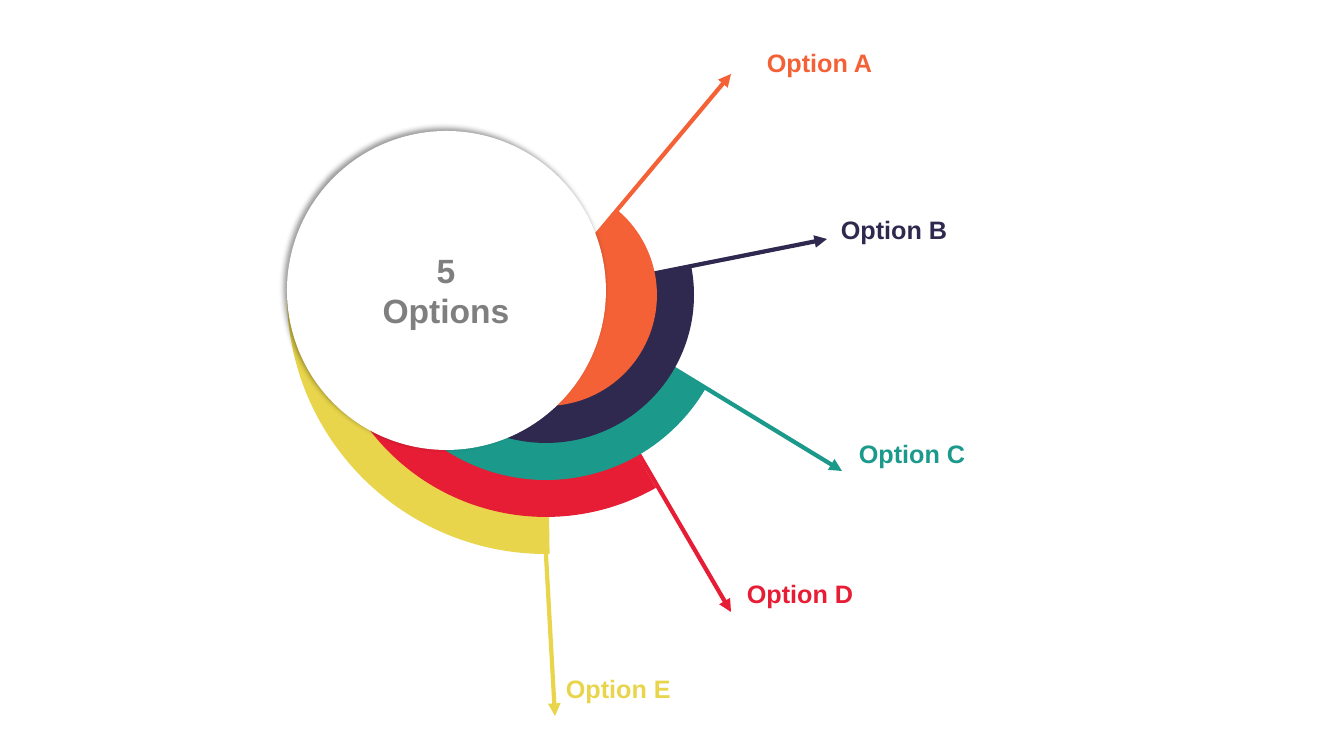
"""Builds a slide with five nested arcs, each pointing at its option."""
import dataclasses
import typing

import lxml.etree
import pptx
import pptx.dml.color
import pptx.enum.shapes
import pptx.enum.text
import pptx.oxml.ns
import pptx.util

SLIDE_WIDTH, SLIDE_HEIGHT = 1344, 756
EMU_PER_PX = 12192000 / SLIDE_WIDTH
CENTRE = (546, 295)
INNER_RADIUS, RING_STEP = 111, 37
ARC_END = 180.7
ADJUSTMENT_PER_DEGREE = 0.6
LABEL_SIZE = (244, 40)


@dataclasses.dataclass(frozen=True)
class Theme:
    font: str = "Arial"
    label_size: int = 18
    title_size: int = 24
    line_width: int = 3
    disc: str = "FFFFFF"
    title: str = "7F7F7F"
    shadow: str = "000000"


@dataclasses.dataclass(frozen=True)
class Option:
    name: str
    colour: str
    arc_start: float
    tip: tuple[int, int]
    label: tuple[int, int]
    origin: tuple[int, int] = CENTRE
    arrowheads: tuple[str, ...] = ("tailEnd",)


THEME = Theme()
OPTIONS = [
    Option("Option A", "F46136", 309.1, (731, 74), (757, 42)),
    Option("Option B", "2F294F", 348.2, (827, 239), (831, 209),
           arrowheads=("headEnd", "tailEnd")),
    Option("Option C", "1B998B", 30.5, (842, 471), (849, 433), origin=(540, 287)),
    Option("Option D", "E71D35", 60.3, (731, 612), (737, 573)),
    Option("Option E", "E8D54B", 89.2, (555, 716), (556, 668), origin=(531, 286)),
]


def px(*lengths: int) -> list[pptx.util.Emu]:
    return [pptx.util.Emu(round(length * EMU_PER_PX)) for length in lengths]


def rgb(colour: str) -> pptx.dml.color.RGBColor:
    return pptx.dml.color.RGBColor.from_string(colour)


def apply(target: typing.Any, formats: dict[str, typing.Any]) -> None:
    for name, value in formats.items():
        setattr(target, name, value)


def add_element(parent: typing.Any, tag: str, **attributes: str) -> typing.Any:
    return lxml.etree.SubElement(parent, pptx.oxml.ns.qn(f"a:{tag}"), attributes)


def add_arrow(page: typing.Any, option: Option) -> None:
    arrow = page.shapes.add_connector(
        pptx.enum.shapes.MSO_CONNECTOR.STRAIGHT, *px(*option.origin, *option.tip))
    arrow.line.width = pptx.util.Pt(THEME.line_width)
    arrow.line.color.rgb = rgb(option.colour)
    for end in option.arrowheads:
        add_element(arrow.line._get_or_add_ln(), end, type="triangle")
    add_element(arrow._element.spPr, "effectLst")


def add_round(page: typing.Any, kind: pptx.enum.shapes.MSO_SHAPE,
              left: int, top: int, diameter: int, colour: str) -> typing.Any:
    shape = page.shapes.add_shape(kind, *px(left, top, diameter, diameter))
    shape.fill.solid()
    shape.fill.fore_color.rgb = rgb(colour)
    shape.line.fill.background()
    shape.shadow.inherit = False
    return shape


def add_arc(page: typing.Any, option: Option, radius: int) -> None:
    arc = add_round(page, pptx.enum.shapes.MSO_SHAPE.PIE, CENTRE[0] - radius,
                    CENTRE[1] - radius, 2 * radius, option.colour)
    for index, degrees in enumerate((option.arc_start, ARC_END)):
        arc.adjustments[index] = degrees * ADJUSTMENT_PER_DEGREE


def add_disc(page: typing.Any) -> None:
    disc = add_round(page, pptx.enum.shapes.MSO_SHAPE.OVAL, 287, 131, 319, THEME.disc)
    effects = disc._element.spPr.find(pptx.oxml.ns.qn("a:effectLst"))
    shadow = add_element(effects, "outerShdw", blurRad=str(pptx.util.Pt(4)),
                         dist=str(pptx.util.Pt(3)), dir=str(225 * 60000),
                         algn="br", rotWithShape="0")
    add_element(add_element(shadow, "srgbClr", val=THEME.shadow), "alpha", val="40000")


def add_text(page: typing.Any, text: str, left: int, top: int, width: int, height: int,
             size: int, colour: str, align: pptx.enum.text.PP_ALIGN) -> None:
    box = page.shapes.add_textbox(*px(left, top, width, height))
    apply(box.text_frame, {
        "word_wrap": True,
        "auto_size": pptx.enum.text.MSO_AUTO_SIZE.SHAPE_TO_FIT_TEXT,
    })
    para = box.text_frame.paragraphs[0]
    para.alignment = align
    span = para.add_run()
    span.text = text
    apply(span.font, {"name": THEME.font, "size": pptx.util.Pt(size), "bold": True})
    span.font.color.rgb = rgb(colour)


def main() -> None:
    deck = pptx.Presentation()
    deck.slide_width, deck.slide_height = px(SLIDE_WIDTH, SLIDE_HEIGHT)
    page = deck.slides.add_slide(deck.slide_layouts[6])
    for ring, option in reversed(list(enumerate(OPTIONS))):
        add_arrow(page, option)
        add_arc(page, option, INNER_RADIUS + ring * RING_STEP)
    for option in OPTIONS:
        add_text(page, option.name, *option.label, *LABEL_SIZE, THEME.label_size,
                 option.colour, pptx.enum.text.PP_ALIGN.LEFT)
    add_disc(page)
    add_text(page, "5 Options", 363, 245, 166, 92, THEME.title_size,
             THEME.title, pptx.enum.text.PP_ALIGN.CENTER)
    deck.save("out.pptx")


if __name__ == "__main__":
    main()
